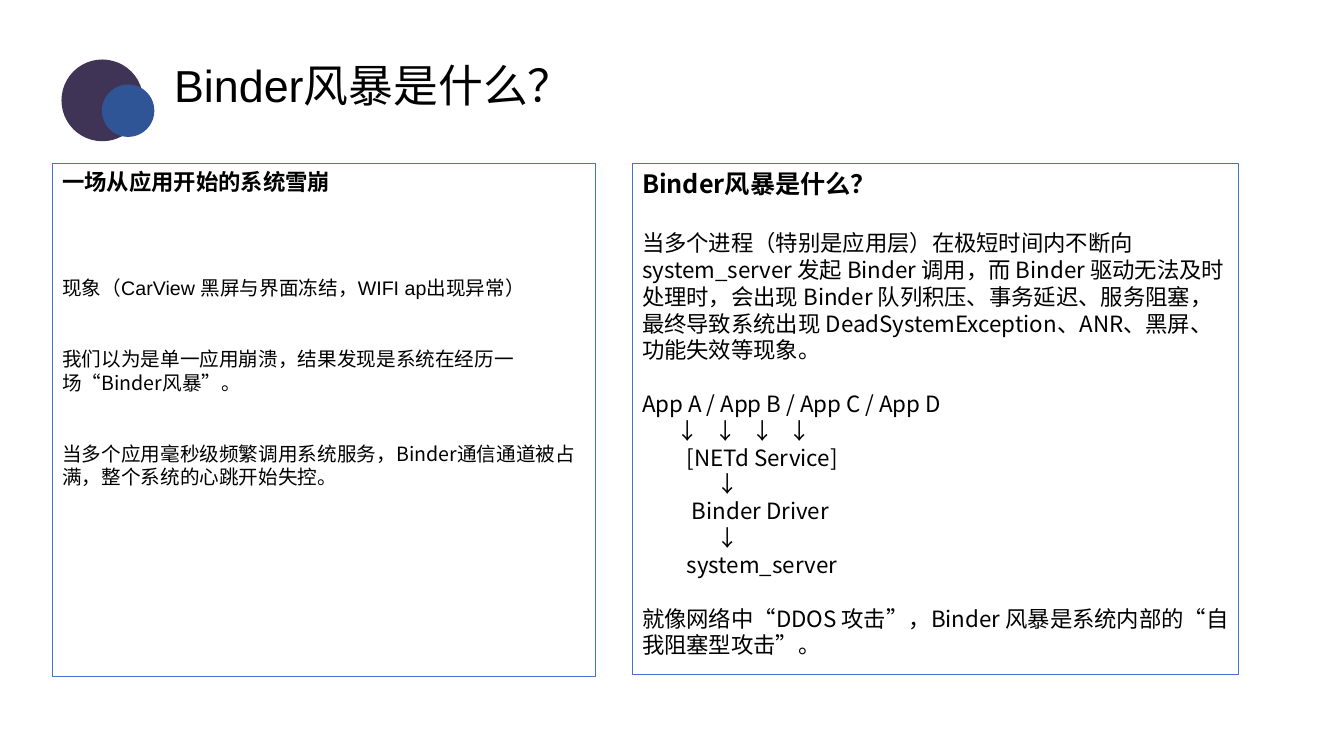
from dataclasses import dataclass

import pptx
import pptx.dml.color
import pptx.enum.shapes
import pptx.enum.text
import pptx.oxml.ns
import pptx.util
from lxml import etree

Cm = pptx.util.Cm
Pt = pptx.util.Pt
MSO_SHAPE = pptx.enum.shapes.MSO_SHAPE

LATIN = "Arial"
CJK = "Noto Sans CJK SC"
BLACK = "000000"
PANEL_LINE = "4472C4"


@dataclass(frozen=True)
class Piece:
    text: str
    font: str = CJK


@dataclass(frozen=True)
class Para:
    pieces: tuple[Piece, ...]
    size: float
    bold: bool = False
    before: float = 0
    indent: float = 0
    tabs: tuple[float, ...] = ()


@dataclass(frozen=True)
class Panel:
    left: float
    width: float
    height: float
    paras: tuple[Para, ...]


@dataclass(frozen=True)
class Disc:
    left: float
    top: float
    size: float
    color: str


def rgb(color: str) -> pptx.dml.color.RGBColor:
    return pptx.dml.color.RGBColor.from_string(color)


def line(text: str, size: float, **options) -> Para:
    return Para((Piece(text),), size, **options)


def write(frame, paras: tuple[Para, ...], align) -> None:
    frame.word_wrap = True
    frame.vertical_anchor = pptx.enum.text.MSO_ANCHOR.TOP
    for index, para in enumerate(paras):
        paragraph = frame.add_paragraph() if index else frame.paragraphs[0]
        paragraph.alignment = align
        if para.before:
            paragraph.space_before = Pt(para.before)
        props = paragraph._p.get_or_add_pPr()
        if para.indent:
            props.set("marL", str(Cm(para.indent)))
        if para.tabs:
            stops = etree.SubElement(props, pptx.oxml.ns.qn("a:tabLst"))
            for tab in para.tabs:
                etree.SubElement(stops, pptx.oxml.ns.qn("a:tab"), pos=str(Cm(tab)), algn="l")
        for piece in para.pieces:
            run = paragraph.add_run()
            run.text = piece.text
            run.font.size = Pt(para.size)
            run.font.bold = para.bold
            run.font.color.rgb = rgb(BLACK)
            run.font.name = piece.font
            etree.SubElement(run._r.get_or_add_rPr(), pptx.oxml.ns.qn("a:ea"), typeface=CJK)


def draw_disc(group, disc: Disc) -> None:
    circle = group.shapes.add_shape(
        MSO_SHAPE.OVAL, Cm(disc.left), Cm(disc.top), Cm(disc.size), Cm(disc.size))
    circle.shadow.inherit = False
    circle.fill.solid()
    circle.fill.fore_color.rgb = rgb(disc.color)
    circle.line.fill.background()


def draw_panel(slide, panel: Panel) -> None:
    box = slide.shapes.add_shape(
        MSO_SHAPE.RECTANGLE, Cm(panel.left), Cm(4.11), Cm(panel.width), Cm(panel.height))
    box.shadow.inherit = False
    box.fill.background()
    box.line.color.rgb = rgb(PANEL_LINE)
    box.line.width = Pt(0.75)
    write(box.text_frame, panel.paras, pptx.enum.text.PP_ALIGN.LEFT)


DISCS = (Disc(1.55, 1.5, 2.06, "3F3455"), Disc(2.57, 2.13, 1.32, "2F5597"))

# Gaps between sections, in points
STORY_GAP = 34
SECTION_GAP = 19

STORY = Panel(1.32, 13.69, 12.93, (
    line("一场从应用开始的系统雪崩", 16, bold=True),
    Para((Piece("现象（"), Piece("CarView 黑屏与界面冻结，WIFI ap出现异常", LATIN), Piece("）")),
         14, before=58),
    line("我们以为是单一应用崩溃，结果发现是系统在经历一场“Binder风暴”。", 14, before=STORY_GAP),
    line("当多个应用毫秒级频繁调用系统服务，Binder通信通道被占满，整个系统的心跳开始失控。",
         14, before=STORY_GAP),
))

# Call chain: four app arrows on even tab stops, then one arrow per step
APP_ARROWS = tuple(0.88 + 0.94 * i for i in range(4))
STEP_ARROW = line("↓", 16, indent=1.89)

DEFINITION = Panel(15.93, 15.29, 12.88, (
    line("Binder风暴是什么？", 18, bold=True),
    line("当多个进程（特别是应用层）在极短时间内不断向 system_server 发起 Binder 调用，"
         "而 Binder 驱动无法及时处理时，会出现 Binder 队列积压、事务延迟、服务阻塞，"
         "最终导致系统出现 DeadSystemException、ANR、黑屏、功能失效等现象。", 16, before=22),
    line("App A / App B / App C / App D", 16, before=SECTION_GAP),
    line("\t↓" * len(APP_ARROWS), 16, tabs=APP_ARROWS),
    line("[NETd Service]", 16, indent=1.13),
    STEP_ARROW,
    line("Binder Driver", 16, indent=1.26),
    STEP_ARROW,
    line("system_server", 16, indent=1.13),
    line("就像网络中“DDOS 攻击”，Binder 风暴是系统内部的“自我阻塞型攻击”。",
         16, before=SECTION_GAP),
))


def main() -> None:
    deck = pptx.Presentation()
    deck.slide_width, deck.slide_height = Cm(33.87), Cm(19.05)
    slide = deck.slides.add_slide(deck.slide_layouts[6])

    # Heading
    heading = slide.shapes.add_textbox(Cm(4.14), Cm(1.32), Cm(23.37), Cm(1.63))
    write(heading.text_frame, (Para((Piece("Binder风暴是什么？", LATIN),), 32),),
          pptx.enum.text.PP_ALIGN.JUSTIFY)

    # Overlapping discs
    emblem = slide.shapes.add_group_shape()
    for disc in DISCS:
        draw_disc(emblem, disc)

    # Text panels
    for panel in (STORY, DEFINITION):
        draw_panel(slide, panel)

    deck.save("out.pptx")


if __name__ == "__main__":
    main()
